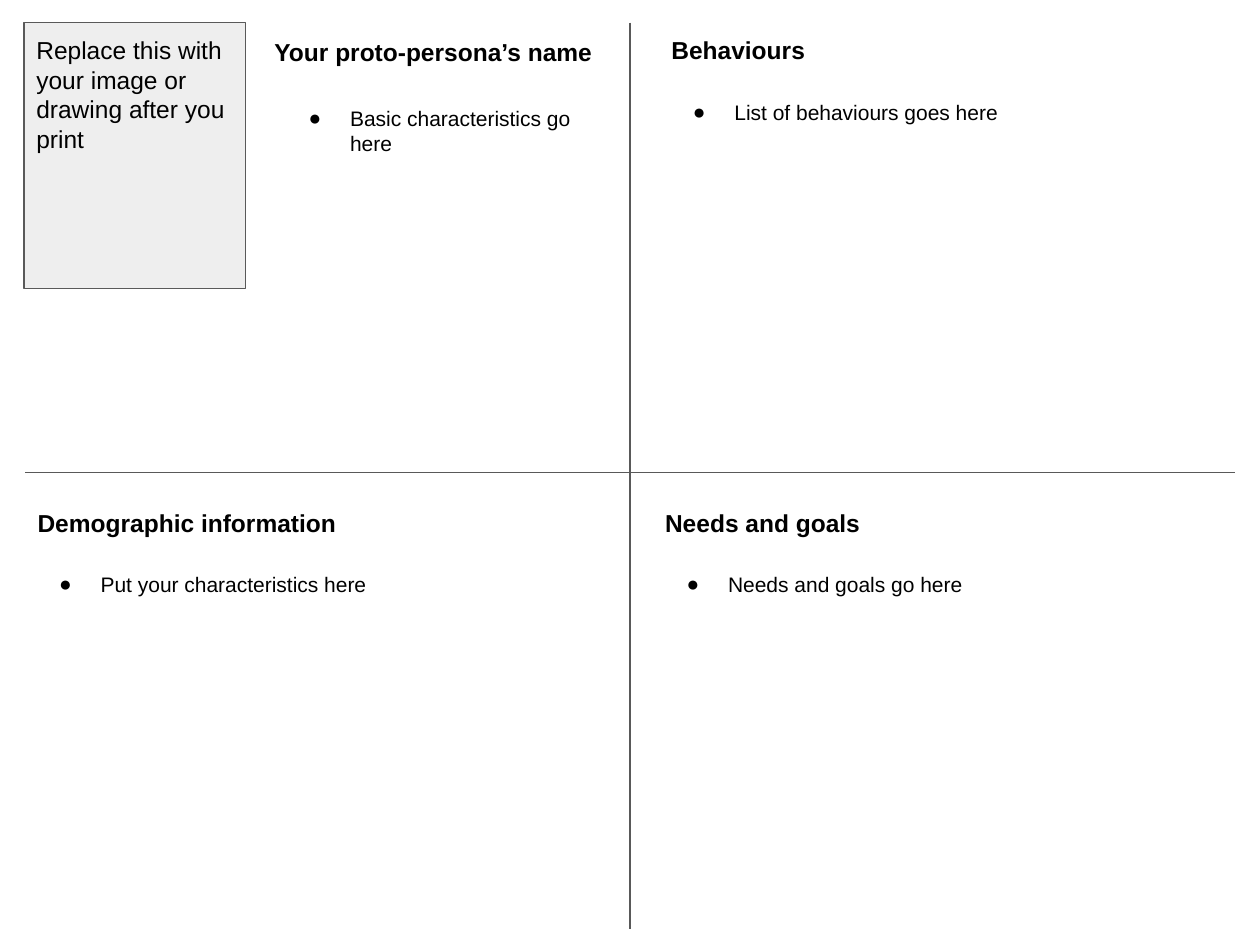
import dataclasses

import lxml.etree
import pptx
import pptx.dml.color
import pptx.enum.shapes
import pptx.enum.text
import pptx.oxml.ns
import pptx.util

Inches = pptx.util.Inches
Pt = pptx.util.Pt
qn = pptx.oxml.ns.qn

BLACK = pptx.dml.color.RGBColor(0x00, 0x00, 0x00)
GREY = pptx.dml.color.RGBColor(0x59, 0x59, 0x59)
PALE = pptx.dml.color.RGBColor(0xEE, 0xEE, 0xEE)

PLAIN = {"name": "Arial", "size": Pt(14), "bold": False}
HEADING = {**PLAIN, "bold": True}
BULLET = {**PLAIN, "size": Pt(12)}


@dataclasses.dataclass(frozen=True)
class Section:
    heading: str
    detail: str
    left: float
    top: float
    detail_width: float = 4.61
    detail_indent: float = 0.0
    detail_drop: float = 0.51


SECTIONS = [
    Section("Your proto-persona’s name", "Basic characteristics go here",
            2.08, 0.19, 2.59, 0.1, 0.55),
    Section("Demographic information", "Put your characteristics here", 0.2, 3.93),
    Section("Needs and goals", "Needs and goals go here", 5.18, 3.93),
    Section("Behaviours", "List of behaviours goes here", 5.23, 0.18),
]


def write_text(holder, text: str, formats: dict):
    frame = holder.text_frame
    settings = {
        "word_wrap": True,
        "vertical_anchor": pptx.enum.text.MSO_ANCHOR.TOP,
        **{f"margin_{side}": Inches(0.1) for side in ("left", "top", "right", "bottom")},
    }
    for attribute, value in settings.items():
        setattr(frame, attribute, value)
    paragraph = frame.paragraphs[0]
    paragraph.alignment = pptx.enum.text.PP_ALIGN.LEFT
    run = paragraph.add_run()
    run.text = text
    for attribute, value in formats.items():
        setattr(run.font, attribute, value)
    run.font.color.rgb = BLACK
    return paragraph


def add_bullet(paragraph) -> None:
    properties = paragraph._p.get_or_add_pPr()
    properties.set("marL", str(Inches(0.5)))
    properties.set("indent", str(Inches(-0.33)))
    colour = lxml.etree.SubElement(properties, qn("a:buClr"))
    lxml.etree.SubElement(colour, qn("a:srgbClr"), val=str(BLACK))
    lxml.etree.SubElement(properties, qn("a:buFont"), typeface="Arial")
    lxml.etree.SubElement(properties, qn("a:buChar"), char="●")


def add_text(slide, left: float, top: float, width: float, height: float,
             text: str, formats: dict):
    box = slide.shapes.add_textbox(Inches(left), Inches(top), Inches(width), Inches(height))
    return write_text(box, text, formats)


def add_section(slide, section: Section) -> None:
    add_text(slide, section.left, section.top, 2.8, 0.47, section.heading, HEADING)
    detail = add_text(slide, section.left + section.detail_indent,
                      section.top + section.detail_drop,
                      section.detail_width, 2.83, section.detail, BULLET)
    add_bullet(detail)


def style_line(line) -> None:
    line.color.rgb = GREY
    line.width = Pt(0.75)


def add_divider(slide, x1: float, y1: float, x2: float, y2: float) -> None:
    divider = slide.shapes.add_connector(
        pptx.enum.shapes.MSO_CONNECTOR.STRAIGHT,
        Inches(x1), Inches(y1), Inches(x2), Inches(y2))
    style_line(divider.line)
    lxml.etree.SubElement(divider._element.spPr, qn("a:effectLst"))


def add_portrait(slide) -> None:
    portrait = slide.shapes.add_shape(
        pptx.enum.shapes.MSO_SHAPE.RECTANGLE,
        Inches(0.19), Inches(0.18), Inches(1.76), Inches(2.11))
    portrait.shadow.inherit = False
    portrait.fill.solid()
    portrait.fill.fore_color.rgb = PALE
    style_line(portrait.line)
    write_text(portrait, "Replace this with your image or drawing after you print", PLAIN)


def main() -> None:
    presentation = pptx.Presentation()
    presentation.slide_width = Inches(10)
    presentation.slide_height = Inches(7.5)
    slide = presentation.slides.add_slide(presentation.slide_layouts[6])
    add_portrait(slide)
    add_divider(slide, 0.2, 3.75, 9.8, 3.75)
    add_divider(slide, 5, 0.18, 5, 7.37)
    for section in SECTIONS:
        add_section(slide, section)
    presentation.save("out.pptx")


main()
